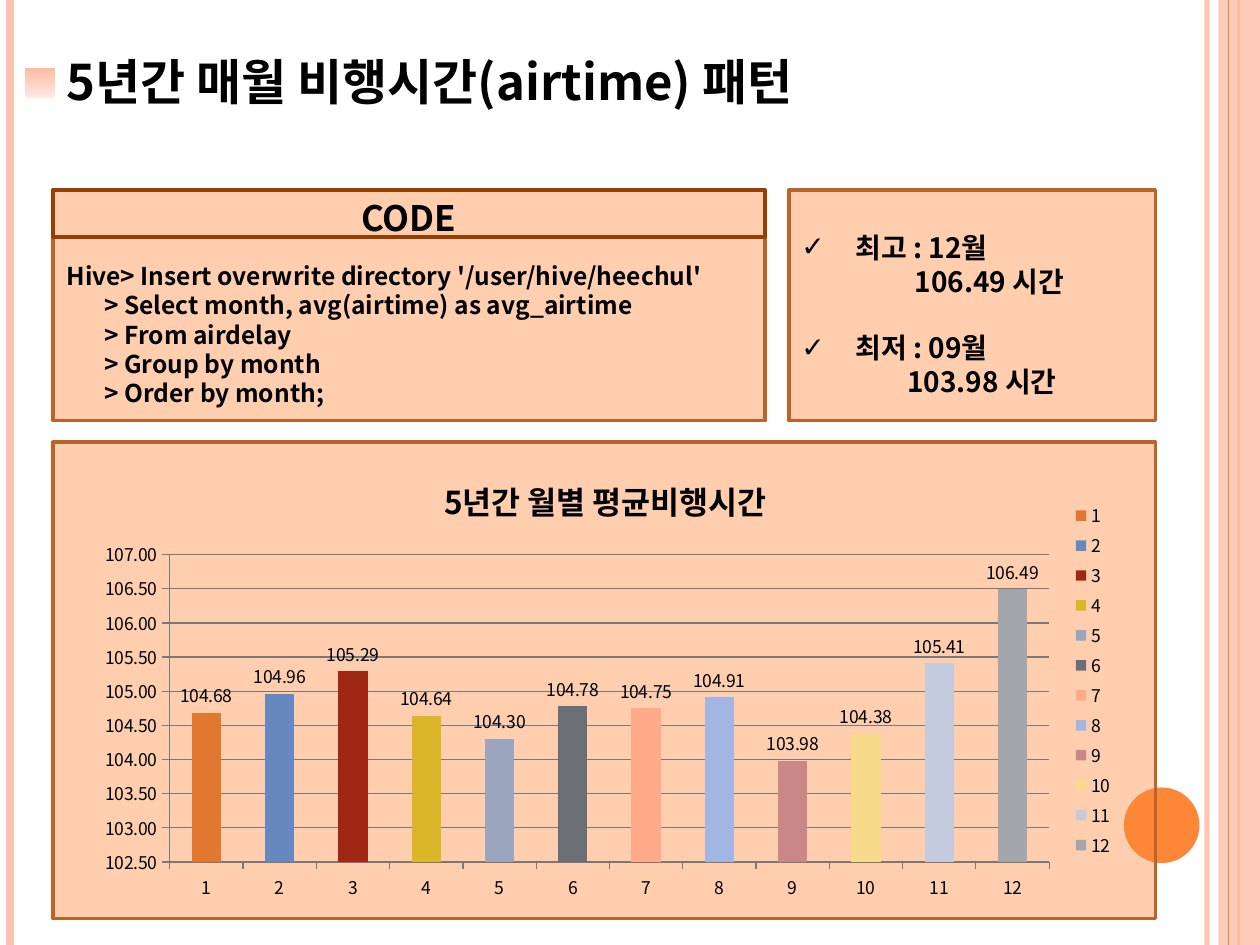
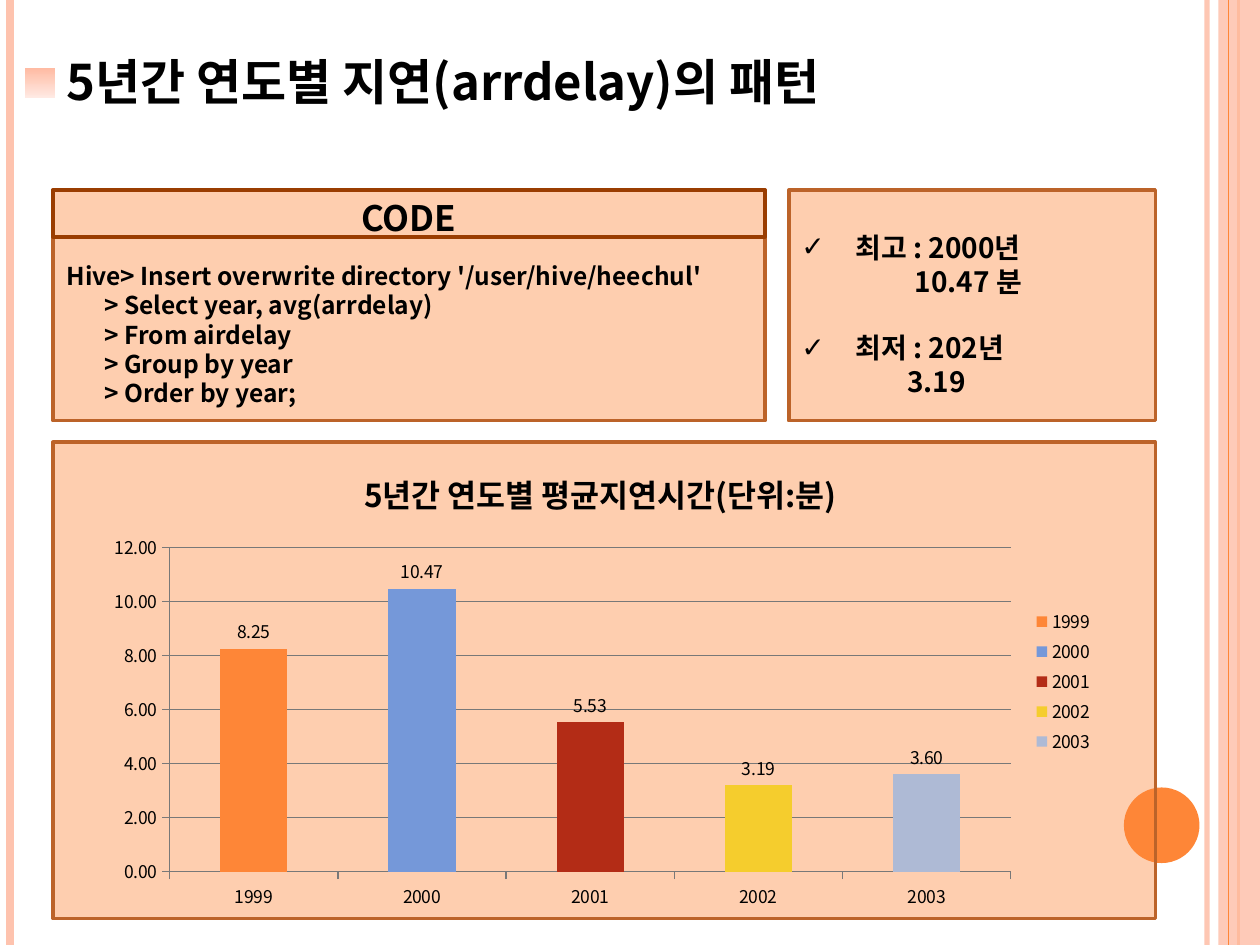
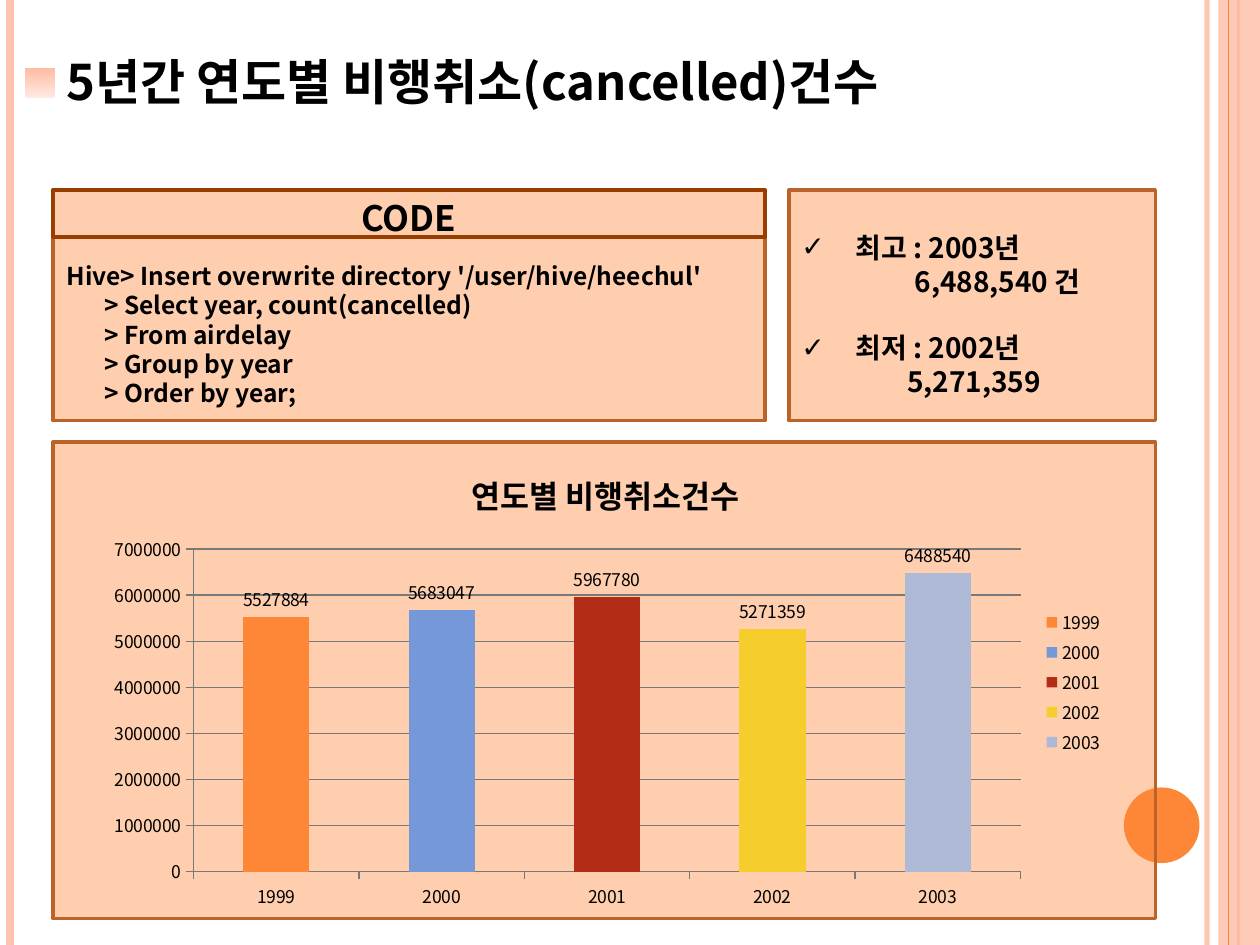
from dataclasses import dataclass

from lxml.etree import SubElement
from pptx import Presentation
from pptx.chart.data import CategoryChartData
from pptx.dml.color import RGBColor
from pptx.enum.chart import XL_CHART_TYPE as ChartType
from pptx.enum.chart import XL_LABEL_POSITION as LabelPosition
from pptx.enum.chart import XL_LEGEND_POSITION as LegendPosition
from pptx.enum.chart import XL_TICK_MARK as TickMark
from pptx.enum.shapes import MSO_CONNECTOR as Connector
from pptx.enum.shapes import MSO_SHAPE as Preset
from pptx.enum.text import MSO_ANCHOR as Anchor
from pptx.enum.text import MSO_AUTO_SIZE as AutoSize
from pptx.enum.text import PP_ALIGN as Align
from pptx.oxml.ns import qn
from pptx.util import Inches, Pt

COLUMNS, ROWS = 100, 75
CELL = Inches(0.1)
FONT = "Noto Sans CJK KR"
COLORS = {
    "text": "000000", "orange": "FE8637", "peach": "FEC3AE",
    "panel_edge": "BC6329", "header_edge": "9A3D01", "grid": "787878",
    "marker_top": "FFBBA3", "marker_bottom": "FFEAE4",
}
YEAR_COLORS = ["FE8637", "7598D9", "B32C16", "F5CD2D", "AEBAD5"]
MONTH_COLORS = ["E2772F", "6787C1", "9F2713", "DAB729", "9BA5BD", "6A6E75",
                "FFAB8A", "A3B5E3", "C98887", "F7DA8A", "C4CBDE", "A3A6AB"]
YEARS = ["1999", "2000", "2001", "2002", "2003"]


@dataclass
class Box:
    """A rectangle in grid columns and rows."""
    left: float
    top: float
    width: float
    height: float

    def inner(self, left, top, width, height):
        """Return a box placed relative to this one."""
        return Box(self.left + left, self.top + top, width, height)

    def lengths(self):
        """Return left, top, width and height as lengths."""
        return [round(cells * CELL)
                for cells in (self.left, self.top, self.width, self.height)]


TITLE_BOX = Box(2, 3.6, 70, 5.7)
CODE_BOX = Box(4.2, 15.1, 56.5, 18.3)
RESULT_BOX = Box(62.6, 15.1, 29.1, 18.3)
CHART_BOX = Box(4.2, 35.1, 87.5, 37.8)


def color(name):
    """Turn a palette name or a hex string into a colour."""
    return RGBColor.from_string(COLORS.get(name, name))


def set_alpha(element, percent):
    """Make every plain colour below the element partly transparent."""
    for tint in element.xpath(".//a:srgbClr"):
        SubElement(tint, qn("a:alpha")).set("val", str(percent * 1000))


def set_east_asian_font(element):
    """Give Korean text the font that Latin text has."""
    for latin in element.xpath(".//a:latin"):
        east_asian = latin.makeelement(qn("a:ea"), {"typeface": FONT})
        latin.addnext(east_asian)


def add_span(para, text, size):
    """Add one bold run."""
    span = para.add_run()
    span.text = text
    span.font.name, span.font.size, span.font.bold = FONT, Pt(size), True
    span.font.color.rgb = color("text")


def add_shape(page, preset, box, fill=None, alpha=None, edge=None):
    """Add a flat shape with an optional fill and edge."""
    shape = page.shapes.add_shape(preset, *box.lengths())
    shape.shadow.inherit = False
    if fill:
        shape.fill.solid()
        shape.fill.fore_color.rgb = color(fill)
        if alpha:
            set_alpha(shape.element, alpha)
    else:
        shape.fill.background()
    if edge:
        shape.line.color.rgb = color(edge)
        shape.line.width = Pt(2)
    else:
        shape.line.fill.background()
    return shape


def add_panel(page, box):
    """Add the tinted panel that holds each region."""
    return add_shape(page, Preset.RECTANGLE, box, "orange", 40, "panel_edge")


def add_rule(page, column, tint, width, alpha=None):
    """Add a full-height vertical rule."""
    x = round(column * CELL)
    rule = page.shapes.add_connector(Connector.STRAIGHT, x, 0, x, ROWS * CELL)
    rule.line.color.rgb = color(tint)
    rule.line.width = Pt(width)
    if alpha:
        set_alpha(rule.element, alpha)
    SubElement(rule.element.spPr, qn("a:effectLst"))
    return rule


def decorate_master(deck, page):
    """Draw the side bands on a page and move them to the master."""
    bands = [
        add_rule(page, 95.8, "peach", 3, 93),
        add_rule(page, 0.8, "peach", 4.5),
        add_rule(page, 98.3, "orange", 1.5),
        add_shape(page, Preset.RECTANGLE, Box(96.7, 0, 3.3, ROWS), "peach", 87),
        add_rule(page, 97.5, "orange", 0.75),
        add_shape(page, Preset.OVAL, Box(89.2, 62.5, 6, 6), "orange"),
    ]
    for number, band in enumerate(bands, 101):
        band.element.xpath(".//p:cNvPr")[0].set("id", str(number))
        deck.slide_master.shapes.element.append(band.element)


def set_frame(shape):
    """Set wrapping, top anchoring and fixed size; return the text frame."""
    frame = shape.text_frame
    frame.word_wrap = True
    frame.auto_size = AutoSize.NONE
    frame.vertical_anchor = Anchor.TOP
    return frame


def set_place(shape, box):
    """Move a placeholder to a box."""
    shape.left, shape.top, shape.width, shape.height = box.lengths()


def add_title(page, box, text, width):
    """Fill the title placeholder and put the gradient marker beside it."""
    title = page.shapes.title
    set_place(title, box.inner(2.3, 0, width, box.height))
    para = set_frame(title).paragraphs[0]
    para.alignment = Align.LEFT
    add_span(para, text, 28)
    marker = add_shape(page, Preset.RECTANGLE, box.inner(0, 1.8, 2.4, 2.4))
    marker.fill.gradient()
    marker.fill.gradient_angle = 270
    for stop, tint in zip(marker.fill.gradient_stops,
                          ("marker_top", "marker_bottom")):
        stop.color.rgb = color(tint)


def add_code(page, box, select, group):
    """Add the query panel with its header bar."""
    add_panel(page, box)
    body = page.shapes.add_textbox(*box.inner(0.1, 5.1, 56.2, 12.8).lengths())
    frame = set_frame(body)
    lines = ["Hive> Insert overwrite directory '/user/hive/heechul'",
             f"> Select {select}", "> From airdelay",
             f"> Group by {group}", f"> Order by {group};"]
    for index, line in enumerate(lines):
        para = frame.add_paragraph() if index else frame.paragraphs[0]
        if index:
            para._p.get_or_add_pPr().set("marL", str(3 * CELL))
        add_span(para, line, 14)
    header = add_shape(page, Preset.RECTANGLE,
                       box.inner(0, 0, box.width, 3.7), edge="header_edge")
    para = set_frame(header).paragraphs[0]
    para.alignment = Align.CENTER
    add_span(para, "CODE", 20)


def add_results(page, box, highest, lowest):
    """Add the panel with the checked highest and lowest values."""
    add_panel(page, box)
    body = page.placeholders[1]
    set_place(body, box.inner(0, 2.7, box.width, 14.5))
    page.shapes.element.append(body.element)
    frame = set_frame(body)
    lines = [("최고 : " + highest[0], 4.3, True, 0), (highest[1], 9, False, 0),
             ("최저 : " + lowest[0], 4.3, True, 19), (lowest[1], 8.4, False, 0)]
    for index, (text, indent, checked, gap) in enumerate(lines):
        para = frame.add_paragraph() if index else frame.paragraphs[0]
        para.space_before = Pt(gap)
        margin = round(indent * CELL)
        props = para._p.get_or_add_pPr()
        props.set("marL", str(margin))
        props.set("indent", str(-margin if checked else 0))
        if checked:
            SubElement(props, qn("a:buChar")).set("char", "✓")
        else:
            SubElement(props, qn("a:buNone"))
        add_span(para, text, 16)


def style_axis(axis):
    """Give an axis its line and outer ticks."""
    axis.major_tick_mark = TickMark.OUTSIDE
    axis.minor_tick_mark = TickMark.NONE
    axis.format.line.color.rgb = color("grid")
    axis.format.line.width = Pt(0.75)


def add_chart(page, box, place, title, cats, values, tints, scale, form):
    """Add the panel with a column chart, one colour a category."""
    add_panel(page, box)
    data = CategoryChartData(number_format=form)
    data.categories = cats
    data.add_series("Series 1", values)
    chart = page.shapes.add_chart(ChartType.COLUMN_CLUSTERED,
                                  *box.inner(*place).lengths(), data).chart
    chart.font.name, chart.font.size = FONT, Pt(10)
    chart.font.color.rgb = color("text")
    chart.has_title = True
    add_span(chart.chart_title.text_frame.paragraphs[0], title, 18)
    chart.chart_title.include_in_layout = False
    chart.has_legend = True
    chart.legend.position = LegendPosition.RIGHT
    chart.legend.include_in_layout = False

    style_axis(chart.category_axis)
    axis = chart.value_axis
    style_axis(axis)
    axis.minimum_scale, axis.maximum_scale, axis.major_unit = scale
    axis.has_major_gridlines = True
    axis.major_gridlines.format.line.color.rgb = color("grid")
    axis.major_gridlines.format.line.width = Pt(0.75)
    axis.tick_labels.number_format = form
    axis.tick_labels.number_format_is_linked = False

    plot = chart.plots[0]
    plot.vary_by_categories = True
    plot.gap_width = 150
    plot.has_data_labels = True
    labels = plot.data_labels
    labels.show_value = True
    labels.position = LabelPosition.OUTSIDE_END
    labels.number_format, labels.number_format_is_linked = form, False
    for index, tint in enumerate(tints):
        fill = plot.series[0].points[index].format.fill
        fill.solid()
        fill.fore_color.rgb = color(tint)
    set_east_asian_font(chart.element)


PAGES = [
    {"title": ("5년간 매월 비행시간(airtime) 패턴", 60.1),
     "code": ("month, avg(airtime) as avg_airtime", "month"),
     "results": (("12월", "106.49 시간"), ("09월", "103.98 시간")),
     "chart": ((2.5, 0.8, 82.7, 36.2), "5년간 월별 평균비행시간",
               [str(month) for month in range(1, 13)],
               [104.68, 104.96, 105.29, 104.64, 104.3, 104.78,
                104.75, 104.91, 103.98, 104.38, 105.41, 106.49],
               MONTH_COLORS, (102.5, 107, 0.5), "0.00")},
    {"title": ("5년간 연도별 지연(arrdelay)의 패턴", 62),
     "code": ("year, avg(arrdelay)", "year"),
     "results": (("2000년", "10.47 분"), ("202년", "3.19")),
     "chart": ((3.3, 0.2, 80.3, 37.6), "5년간 연도별 평균지연시간(단위:분)",
               YEARS, [8.25, 10.47, 5.53, 3.19, 3.6],
               YEAR_COLORS, (0, 12, 2), "0.00")},
    {"title": ("5년간 연도별 비행취소(cancelled)건수", 67),
     "code": ("year, count(cancelled)", "year"),
     "results": (("2003년", "6,488,540 건"), ("2002년", "5,271,359")),
     "chart": ((3.3, 0.3, 81.1, 37.5), "연도별 비행취소건수",
               YEARS, [5527884, 5683047, 5967780, 5271359, 6488540],
               YEAR_COLORS, (0, 7000000, 1000000), "0")},
]


def add_page(deck, content):
    """Add one analysis page: title, query, results and chart."""
    page = deck.slides.add_slide(deck.slide_layouts[1])
    if len(deck.slides) == 1:
        decorate_master(deck, page)
    add_chart(page, CHART_BOX, *content["chart"])
    add_title(page, TITLE_BOX, *content["title"])
    add_code(page, CODE_BOX, *content["code"])
    add_results(page, RESULT_BOX, *content["results"])
    set_east_asian_font(page.shapes.element)


deck = Presentation()
deck.slide_width, deck.slide_height = COLUMNS * CELL, ROWS * CELL
for content in PAGES:
    add_page(deck, content)
deck.save("out.pptx")
